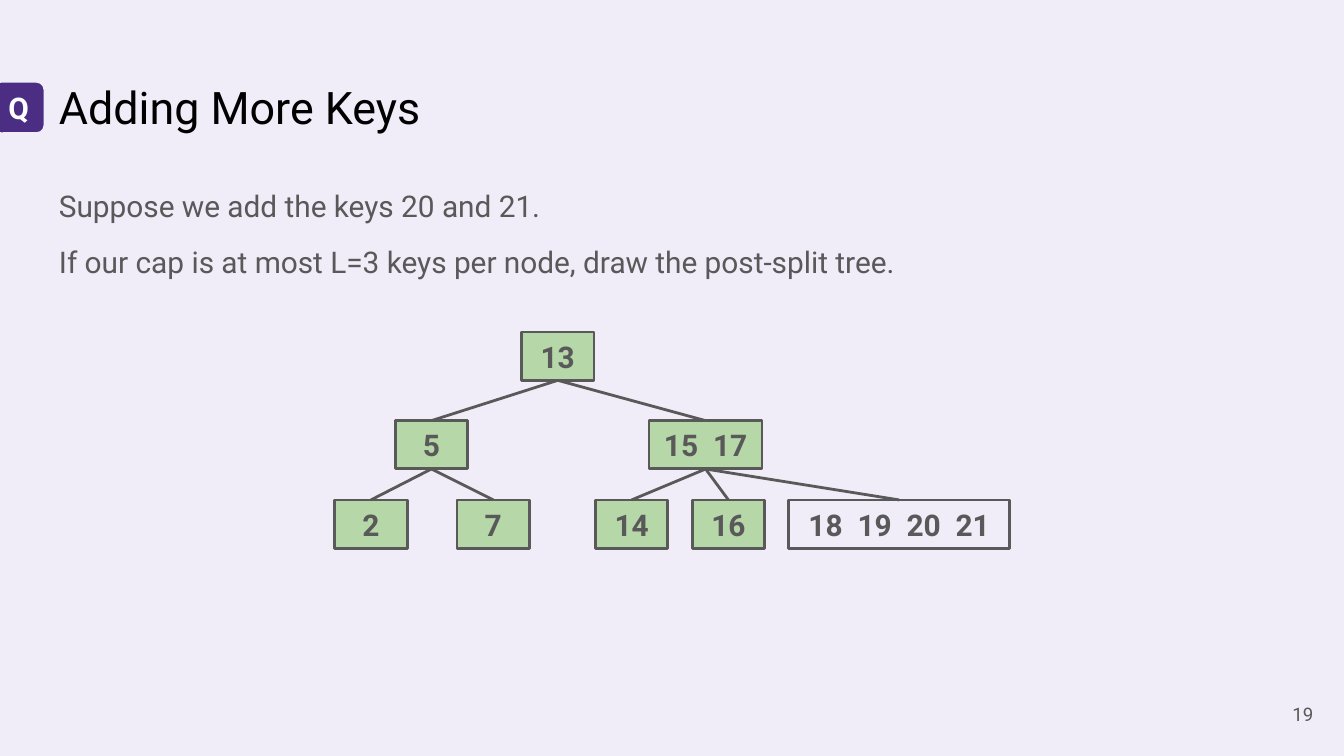
from pptx import Presentation
from pptx.dml.color import RGBColor
from pptx.enum.shapes import MSO_CONNECTOR, MSO_SHAPE
from pptx.enum.text import MSO_ANCHOR, PP_ALIGN
from pptx.oxml.ns import qn
from pptx.util import Inches, Pt
from lxml.etree import SubElement

BACKGROUND, PURPLE, GREEN = "F0ECF8", "4B2E83", "B6D7A8"
GRAY, BLACK, WHITE = "595959", "000000", "FFFFFF"

TITLE = "Adding More Keys"
BODY = [
    "Suppose we add the keys 20 and 21.",
    "If our cap is at most L=3 keys per node, draw the post-split tree.",
]
BADGE = "Q"
PAGE_NUMBER = "19"

# Node: keys, centre x, level, parent, fill
TREE = {
    "root": (["13"], 4.15, 0, None, GREEN),
    "left": (["5"], 3.21, 1, "root", GREEN),
    "right": (["15", "17"], 5.25, 1, "root", GREEN),
    "leaf 2": (["2"], 2.76, 2, "left", GREEN),
    "leaf 7": (["7"], 3.67, 2, "left", GREEN),
    "leaf 14": (["14"], 4.7, 2, "right", GREEN),
    "leaf 16": (["16"], 5.42, 2, "right", GREEN),
    "overfull leaf": (["18", "19", "20", "21"], 6.69, 2, "right", BACKGROUND),
}
LEVEL_TOPS = [2.47, 3.13, 3.72]
NODE_WIDTHS = {1: 0.54, 2: 0.84, 4: 1.64}  # by number of keys
NODE_HEIGHT = 0.36
KEY_GAP = 4  # points added to the space between keys


def color(hex_string):
    return RGBColor.from_string(hex_string)


def write(shape, paragraphs, size=16, ink=GRAY, bold=False, align=PP_ALIGN.LEFT,
          anchor=MSO_ANCHOR.TOP, wrap=True, line_spacing=None, gap=0, space_width=0):
    """Fill a shape with paragraphs; space_width widens the spaces between words."""
    frame = shape.text_frame
    frame.word_wrap = wrap
    frame.vertical_anchor = anchor
    frame.margin_left = frame.margin_right = Inches(0.1)
    frame.margin_top = frame.margin_bottom = Inches(0.1)
    for index, text in enumerate(paragraphs):
        paragraph = frame.add_paragraph() if index else frame.paragraphs[0]
        paragraph.alignment = align
        if line_spacing:
            paragraph.line_spacing = line_spacing
        if index and gap:
            paragraph.space_before = Pt(gap)
        for part in text.replace(" ", "| |").split("|") if space_width else [text]:
            run = paragraph.add_run()
            run.text = part
            font = run.font
            font.name, font.size, font.bold = "Roboto", Pt(size), bold
            font.color.rgb = color(ink)
            if part == " ":
                run._r.get_or_add_rPr().set("spc", str(space_width * 100))


def add_text(box, paragraphs, **text_format):
    write(slide.shapes.add_textbox(*map(Inches, box)), paragraphs, **text_format)


def add_box(kind, box, text, fill, outline, outline_width, **text_format):
    shape = slide.shapes.add_shape(kind, *map(Inches, box))
    shape.shadow.inherit = False
    shape.fill.solid()
    shape.fill.fore_color.rgb = color(fill)
    shape.line.color.rgb = color(outline)
    shape.line.width = Pt(outline_width)
    write(shape, [text], bold=True, align=PP_ALIGN.CENTER,
          anchor=MSO_ANCHOR.MIDDLE, wrap=False, **text_format)
    return shape


def add_branch(parent, child):
    branch = slide.shapes.add_connector(MSO_CONNECTOR.STRAIGHT, 0, 0, 0, 0)
    branch.begin_connect(parent, 2)
    branch.end_connect(child, 0)
    branch.line.color.rgb = color(GRAY)
    branch.line.width = Pt(1.5)
    SubElement(branch._element.spPr, qn("a:effectLst"))


presentation = Presentation()
presentation.slide_width = Inches(10)
presentation.slide_height = Inches(10) * 9 // 16  # widescreen
slide = presentation.slides.add_slide(presentation.slide_layouts[6])
slide.background.fill.solid()
slide.background.fill.fore_color.rgb = color(BACKGROUND)

add_text((0.34, 0.49, 9.32, 0.63), [TITLE], size=24, ink=BLACK)
add_text((0.34, 1.26, 9.32, 0.9), BODY, line_spacing=1.15, gap=8)
add_text((9.27, 5.1, 0.6, 0.43), [PAGE_NUMBER], size=10,
         align=PP_ALIGN.RIGHT, anchor=MSO_ANCHOR.MIDDLE)
add_box(MSO_SHAPE.ROUNDED_RECTANGLE, (-0.06, 0.6, 0.4, 0.4), BADGE,
        PURPLE, BACKGROUND, 2.25, ink=WHITE)

nodes = {}
for name, (keys, center, level, parent, fill) in TREE.items():
    width = NODE_WIDTHS[len(keys)]
    box = (center - width / 2, LEVEL_TOPS[level], width, NODE_HEIGHT)
    nodes[name] = add_box(MSO_SHAPE.RECTANGLE, box, " ".join(keys),
                          fill, GRAY, 1.5, space_width=KEY_GAP)
    if parent:
        add_branch(nodes[parent], nodes[name])

presentation.save("out.pptx")
